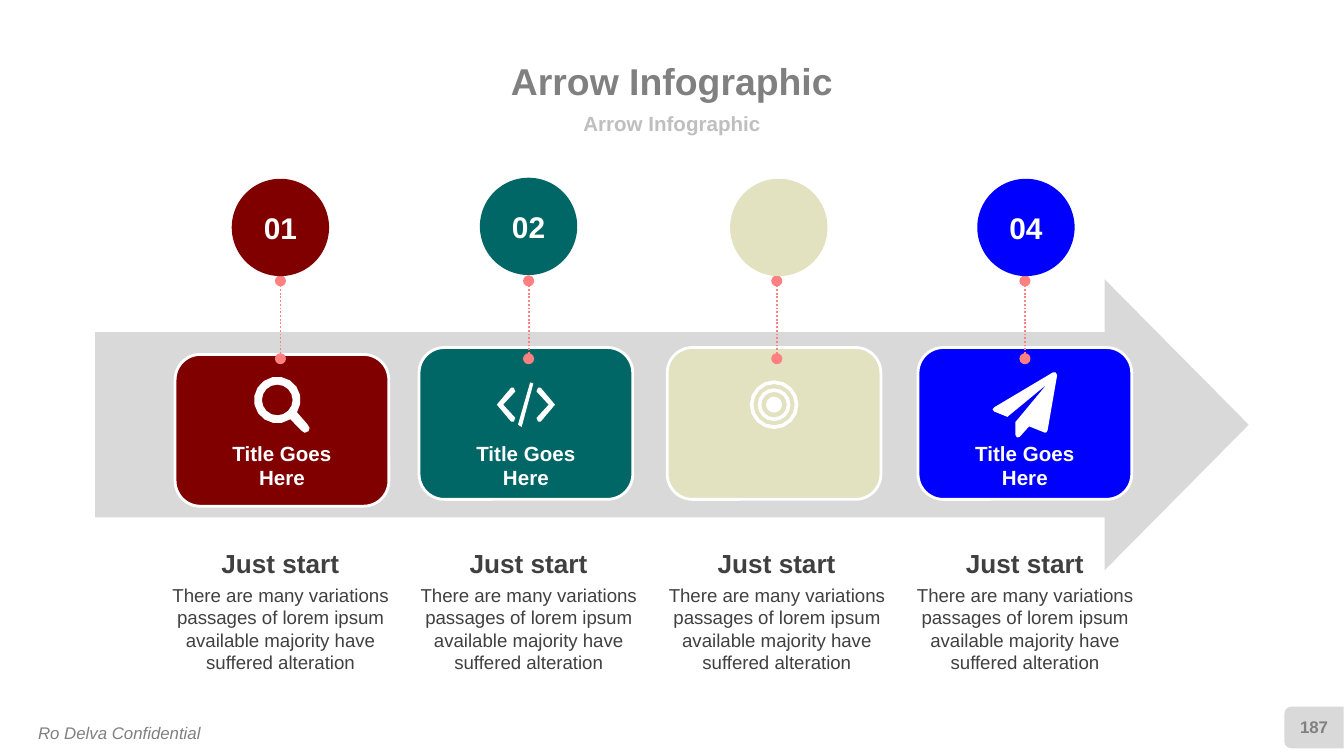
import math
from dataclasses import dataclass

from lxml import etree
from pptx import Presentation
from pptx import util as u
from pptx.dml.color import RGBColor
from pptx.enum import dml, shapes, text
from pptx.oxml import ns


@dataclass(frozen=True)
class Theme:
    font: str = "Arial"
    white: str = "FFFFFF"
    band: str = "D9D9D9"
    grey: str = "808080"
    subtitle: str = "BFBFBF"
    body: str = "404040"
    link: str = "FF8080"
    title_size: float = 20
    badge_size: float = 16
    heading_size: float = 14
    label_size: float = 11
    body_size: float = 10
    small_size: float = 9


THEME = Theme()
LABEL = "Title Goes\nHere"
HEADING = "Just start"
DESCRIPTION = ("There are many variations passages of lorem ipsum "
               "available majority have suffered alteration")


def arc(x, y, radius, start=0, end=337.5, steps=15):
    angles = [math.radians(start + (end - start) * i / steps) for i in range(steps + 1)]
    return [(x + radius * math.cos(a), y + radius * math.sin(a)) for a in angles]


# Icon outlines in centimetres around the icon centre
CHEVRON = [(-0.55, 0), (-0.28, -0.32), (-0.23, -0.32), (-0.2, -0.25),
           (-0.43, 0), (-0.2, 0.25), (-0.23, 0.32), (-0.28, 0.32)]
MAGNIFIER = [
    arc(-0.09, -0.09, 0.44, 56, 392)
    + [(0.48, 0.37), (0.52, 0.44), (0.5, 0.5), (0.43, 0.53), (0.38, 0.5)],
    arc(-0.09, -0.09, 0.29),
]
CODE = [
    CHEVRON,
    [(-0.15, 0.38), (0.08, -0.42), (0.14, -0.4), (-0.08, 0.42)],
    [(-x, y) for x, y in CHEVRON],
]
TARGET = [arc(0, 0, radius) for radius in (0.46, 0.39, 0.31, 0.24, 0.15)]
PLANE = [[(0.61, -0.56), (0.43, 0.48), (0.41, 0.52), (0.38, 0.53), (0.08, 0.41),
          (-0.1, 0.61), (-0.15, 0.62), (-0.18, 0.57), (-0.18, 0.33), (0.41, -0.38),
          (-0.33, 0.23), (-0.58, 0.13), (-0.61, 0.09), (-0.58, 0.05), (0.53, -0.61),
          (0.58, -0.61)]]


@dataclass(frozen=True)
class Step:
    color: str
    icon: list
    number: str = ""
    label: str = ""
    card_shift: float = 0
    card_drop: float = 0
    badge_shift: float = 0
    badge_drop: float = 0.02


STEPS = [
    Step("800000", MAGNIFIER, "01", LABEL, card_shift=0.03, card_drop=0.13),
    Step("006666", CODE, "02", LABEL, card_shift=-0.05, badge_drop=0),
    Step("E2E1C0", TARGET, card_shift=-0.05, badge_shift=0.04),
    Step("0000FF", PLANE, "04", LABEL, badge_shift=0.02),
]


def paint(shape, fill, outline=None):
    shape.shadow.inherit = False
    shape.fill.solid()
    shape.fill.fore_color.rgb = RGBColor.from_string(fill)
    if outline:
        shape.line.color.rgb = RGBColor.from_string(outline)
        shape.line.width = u.Pt(1.5)
    else:
        shape.line.fill.background()


def write(shape, words, size, color, bold=False, italic=False, wrap=True, margin=0,
          anchor=text.MSO_ANCHOR.TOP, align=text.PP_ALIGN.CENTER, spacing=None,
          plain_list=False):
    frame = shape.text_frame
    frame.text = words
    frame.word_wrap = wrap
    frame.auto_size = text.MSO_AUTO_SIZE.NONE
    frame.vertical_anchor = anchor
    frame.margin_left = frame.margin_right = u.Cm(margin)
    frame.margin_top = frame.margin_bottom = u.Cm(margin / 2)
    for paragraph in frame.paragraphs:
        paragraph.alignment = align
        paragraph.line_spacing = spacing
        paragraph.space_before = u.Pt(0)
        if plain_list:
            properties = paragraph._p.get_or_add_pPr()
            properties.set("marL", "0")
            properties.set("indent", "0")
            etree.SubElement(properties, ns.qn("a:buNone"))
        font = paragraph.font
        font.name, font.size = THEME.font, u.Pt(size)
        font.bold, font.italic = bold, italic
        font.color.rgb = RGBColor.from_string(color)


def add_shape(slide, kind, left, top, width, height, fill, outline=None):
    shape = slide.shapes.add_shape(kind, u.Cm(left), u.Cm(top), u.Cm(width), u.Cm(height))
    paint(shape, fill, outline)
    return shape


def add_text(slide, left, top, width, height, words, size, color, **style):
    box = slide.shapes.add_textbox(u.Cm(left), u.Cm(top), u.Cm(width), u.Cm(height))
    write(box, words, size, color, **style)


def add_icon(slide, x, y, contours):
    units = 1000  # drawing units per centimetre
    outlines = [[(px * units, py * units) for px, py in contour] for contour in contours]
    builder = slide.shapes.build_freeform(*outlines[0][0], scale=u.Cm(1) / units)
    builder.add_line_segments(outlines[0][1:], close=True)
    for outline in outlines[1:]:
        builder.move_to(*outline[0])
        builder.add_line_segments(outline[1:], close=True)
    paint(builder.convert_to_shape(u.Cm(x), u.Cm(y)), THEME.white)


def add_link(slide, x, bottom, top):
    link = slide.shapes.add_connector(shapes.MSO_CONNECTOR.STRAIGHT,
                                      u.Cm(x), u.Cm(bottom), u.Cm(x), u.Cm(top))
    link.line.color.rgb = RGBColor.from_string(THEME.link)
    link.line.width = u.Pt(1)
    link.line.dash_style = dml.MSO_LINE.ROUND_DOT
    line = link.line._get_or_add_ln()
    for end in ("a:headEnd", "a:tailEnd"):
        etree.SubElement(line, ns.qn(end), type="oval")
    etree.SubElement(link._element.spPr, ns.qn("a:effectLst"))


def add_header(slide, left, top, width):
    title, subtitle = slide.placeholders
    rows = [(title, 0, 0.99, THEME.title_size, THEME.grey, 0.9, False),
            (subtitle, 0.97, 0.56, THEME.label_size, THEME.subtitle, None, True)]
    for shape, offset, height, size, color, spacing, plain_list in rows:
        shape.left, shape.top = u.Cm(left), u.Cm(top + offset)
        shape.width, shape.height = u.Cm(width), u.Cm(height)
        write(shape, "Arrow Infographic", size, color, bold=True, wrap=False,
              anchor=text.MSO_ANCHOR.MIDDLE, spacing=spacing, plain_list=plain_list)


def add_footer(slide, top):
    add_text(slide, 0.47, top + 0.35, 4.7, 0.64, "Ro Delva Confidential",
             THEME.small_size, THEME.grey, italic=True, margin=0.25,
             align=text.PP_ALIGN.LEFT)
    # Page tab, rounded on its left side
    tab = add_shape(slide, shapes.MSO_SHAPE.ROUND_2_SAME_RECTANGLE,
                    24.44, top, 0.79, 1.12, THEME.band)
    tab.rotation = 270
    add_text(slide, 24.3, top + 0.17, 1.07, 0.76, "187", THEME.small_size, THEME.grey,
             bold=True, wrap=False, anchor=text.MSO_ANCHOR.MIDDLE)


def add_arrow(slide, left, top, width, height):
    arrow = add_shape(slide, shapes.MSO_SHAPE.RIGHT_ARROW, left, top, width, height, THEME.band)
    arrow.adjustments[0], arrow.adjustments[1] = 0.637, 0.495


def add_step(slide, center, top, step):
    # Card with icon and label
    card_center = center + step.card_shift
    add_shape(slide, shapes.MSO_SHAPE.ROUNDED_RECTANGLE, card_center - 2.02,
              top + 3.21 + step.card_drop, 4.04, 2.87, step.color, THEME.white)
    add_icon(slide, card_center, top + 4.29, step.icon)
    if step.label:
        add_text(slide, card_center - 1.4, top + 4.97, 2.8, 0.94, step.label,
                 THEME.label_size, THEME.white, bold=True)
    # Link and numbered badge
    add_link(slide, center, top + 3.42, top + 1.95)
    badge = add_shape(slide, shapes.MSO_SHAPE.OVAL, center + step.badge_shift - 0.92,
                      top + step.badge_drop, 1.84, 1.84, step.color)
    if step.number:
        write(badge, step.number, THEME.badge_size, THEME.white, bold=True, wrap=False,
              anchor=text.MSO_ANCHOR.MIDDLE)
    # Text below the arrow
    add_text(slide, center - 1.12, top + 6.98, 2.24, 0.61, HEADING, THEME.heading_size,
             THEME.body, bold=True, wrap=False)
    add_text(slide, center - 2.07, top + 7.67, 4.14, 1.7, DESCRIPTION, THEME.body_size,
             THEME.body)


def main():
    presentation = Presentation()
    presentation.slide_width, presentation.slide_height = u.Cm(25.4), u.Cm(14.29)
    slide = presentation.slides.add_slide(presentation.slide_layouts[1])
    add_header(slide, 4.86, 1.09, 15.68)
    add_footer(slide, 13.19)
    add_arrow(slide, 1.8, 5.28, 21.8, 5.5)
    for index, step in enumerate(STEPS):
        add_step(slide, 5.3 + 4.69 * index, 3.36, step)
    presentation.save("out.pptx")


if __name__ == "__main__":
    main()
